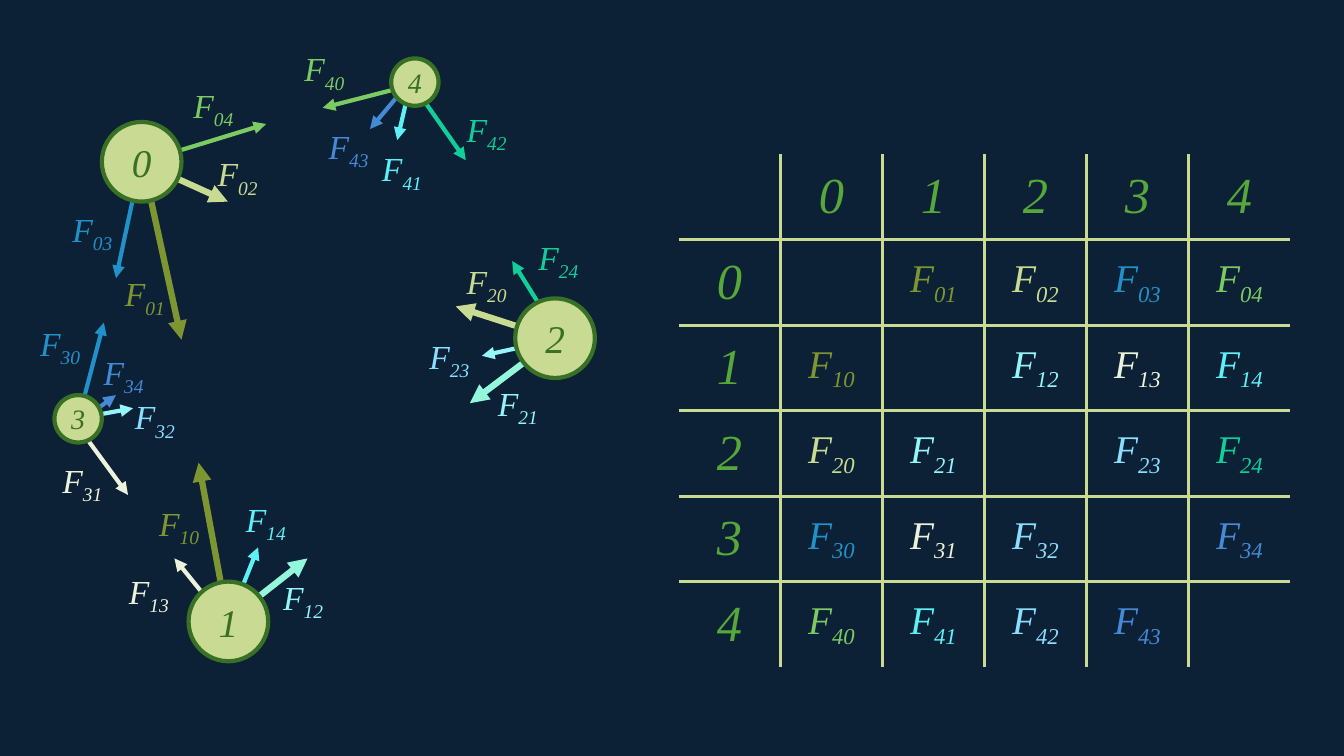
from lxml.etree import SubElement
from pptx import Presentation
from pptx.dml.color import RGBColor
from pptx.enum.shapes import MSO_CONNECTOR, MSO_SHAPE
from pptx.enum.text import MSO_ANCHOR, PP_ALIGN
from pptx.oxml import parse_xml
from pptx.oxml.ns import nsdecls, qn
from pptx.util import Inches, Pt

COLORS = {
    "background": "0C2036", "body": "C9DA92", "body_edge": "387026",
    "grid": "C9DA92", "index": "55A839",
    # One colour for each pair of bodies
    "01": "7E9632", "02": "C9DA92", "03": "2191C9", "04": "7CCA62", "12": "94F5FA",
    "13": "EDF3DB", "14": "5EF0F7", "23": "8ADFFF", "24": "10CF9B", "34": "448AD7",
}
ARROW_COLORS = {"12": "94F7DC", "23": "94F5FA"}
CELL_COLORS = {"42": "8ADFFF"}
STRONG_PAIRS = ("01", "02", "12")

# Body: left, top, diameter, text size
BODIES = {
    "0": (1.01, 1.21, 0.79, 28),
    "1": (1.87, 5.77, 0.79, 28),
    "2": (5.11, 2.96, 0.79, 28),
    "3": (0.54, 3.92, 0.47, 20),
    "4": (3.88, 0.58, 0.47, 20),
}
# Force: arrow start, arrow tip, label corner
FORCES = {
    "14": ((2.28, 6.13), (2.56, 5.43), (2.34, 4.9)),
    "13": ((2.24, 6.17), (1.73, 5.54), (1.18, 5.61)),
    "34": ((0.81, 4.17), (1.15, 3.92), (0.93, 3.44)),
    "43": ((4.09, 0.78), (3.67, 1.28), (3.16, 1.2)),
    "23": ((5.51, 3.37), (4.78, 3.53), (4.16, 3.28)),
    "24": ((5.51, 3.28), (5.08, 2.59), (5.24, 2.3)),
    "42": ((4.08, 0.82), (4.62, 1.59), (4.53, 1.03)),
    "41": ((4.08, 0.79), (3.94, 1.39), (3.69, 1.42)),
    "40": ((4.1, 0.84), (3.2, 1.07), (2.92, 0.43)),
    "32": ((0.83, 4.14), (1.32, 4.05), (1.24, 3.88)),
    "31": ((0.75, 4.2), (1.27, 4.91), (0.52, 4.51)),
    "30": ((0.78, 4.15), (1.03, 3.2), (0.3, 3.15)),
    "04": ((1.4, 1.61), (2.64, 1.23), (1.82, 0.79)),
    "03": ((1.4, 1.59), (1.15, 2.76), (0.62, 2.02)),
    "12": ((2.26, 6.16), (3.05, 5.54), (2.71, 5.67)),
    "02": ((1.4, 1.61), (2.26, 2), (2.06, 1.47)),
    "21": ((5.51, 3.36), (4.66, 4), (4.84, 3.75)),
    "20": ((5.51, 3.36), (4.52, 3.04), (4.53, 2.54)),
    "10": ((2.26, 6.16), (1.97, 4.59), (1.48, 4.94)),
    "01": ((1.4, 1.54), (1.8, 3.37), (1.14, 2.66)),
}


def write_symbol(paragraph, base, size, color, subscript=""):
    for text in filter(None, (base, subscript)):
        run = paragraph.add_run()
        run.text = text
        run.font.name = "Times New Roman"
        run.font.size = Pt(size)
        run.font.italic = True
        run.font.bold = False
        run.font.color.rgb = RGBColor.from_string(color)
        if text == subscript:
            run.font._element.set("baseline", "-25000")


def set_borders(cell, visible):
    """Draw the sides named in visible (L, R, T, B) and clear the others."""
    for position, side in enumerate("LRTB"):
        paint = "<a:noFill/>"
        if side in visible:
            paint = f'<a:solidFill><a:srgbClr val="{COLORS["grid"]}"/></a:solidFill>'
        border = parse_xml(f'<a:ln{side} {nsdecls("a")} w="{Pt(2.25)}">{paint}</a:ln{side}>')
        cell._tc.get_or_add_tcPr().insert(position, border)


prs = Presentation()
prs.slide_width = Inches(13.33)
prs.slide_height = Inches(7.5)
slide = prs.slides.add_slide(prs.slide_layouts[6])
slide.background.fill.solid()
slide.background.fill.fore_color.rgb = RGBColor.from_string(COLORS["background"])

# Force arrows, behind the bodies
for force, (start, tip, _) in FORCES.items():
    pair = "".join(sorted(force))
    ends = [Inches(value) for value in start + tip]
    arrow = slide.shapes.add_connector(MSO_CONNECTOR.STRAIGHT, *ends)
    arrow.line.color.rgb = RGBColor.from_string(ARROW_COLORS.get(pair, COLORS[pair]))
    arrow.line.width = Pt(4.5 if pair in STRONG_PAIRS else 3)
    SubElement(arrow.line._get_or_add_ln(), qn("a:tailEnd"), type="triangle")
    SubElement(arrow._element.spPr, qn("a:effectLst"))

for index, (left, top, diameter, size) in BODIES.items():
    body = slide.shapes.add_shape(MSO_SHAPE.OVAL, Inches(left), Inches(top),
                                  Inches(diameter), Inches(diameter))
    body.shadow.inherit = False
    body.fill.solid()
    body.fill.fore_color.rgb = RGBColor.from_string(COLORS["body"])
    body.line.color.rgb = RGBColor.from_string(COLORS["body_edge"])
    body.line.width = Pt(3)
    frame = body.text_frame
    frame.margin_left = frame.margin_right = 0
    frame.vertical_anchor = MSO_ANCHOR.MIDDLE
    frame.paragraphs[0].alignment = PP_ALIGN.CENTER
    write_symbol(frame.paragraphs[0], index, size, COLORS["body_edge"])

for force, (_, _, (left, top)) in FORCES.items():
    label = slide.shapes.add_textbox(Inches(left), Inches(top), Inches(0.79), Inches(0.5))
    label.text_frame.word_wrap = True
    color = COLORS["".join(sorted(force))]
    write_symbol(label.text_frame.paragraphs[0], "F", 24, color, force)

# Force matrix: row and column indices, empty diagonal
count = len(BODIES) + 1
matrix = slide.shapes.add_table(count, count, Inches(6.73), Inches(1.53),
                                Inches(6.07), Inches(5.09)).table
matrix.first_row = False
matrix.horz_banding = False
last = count - 1
for row in range(count):
    for column in range(count):
        cell = matrix.cell(row, column)
        cell.fill.background()
        cell.vertical_anchor = MSO_ANCHOR.MIDDLE
        set_borders(cell, "L" * (column > 0) + "R" * (column < last)
                    + "T" * (row > 0) + "B" * (row < last))
        paragraph = cell.text_frame.paragraphs[0]
        paragraph.alignment = PP_ALIGN.CENTER
        if row == column:
            continue
        if row == 0 or column == 0:
            write_symbol(paragraph, str(row + column - 1), 36, COLORS["index"])
        else:
            force = f"{row - 1}{column - 1}"
            color = CELL_COLORS.get(force, COLORS["".join(sorted(force))])
            write_symbol(paragraph, "F", 28, color, force)

prs.save("out.pptx")
